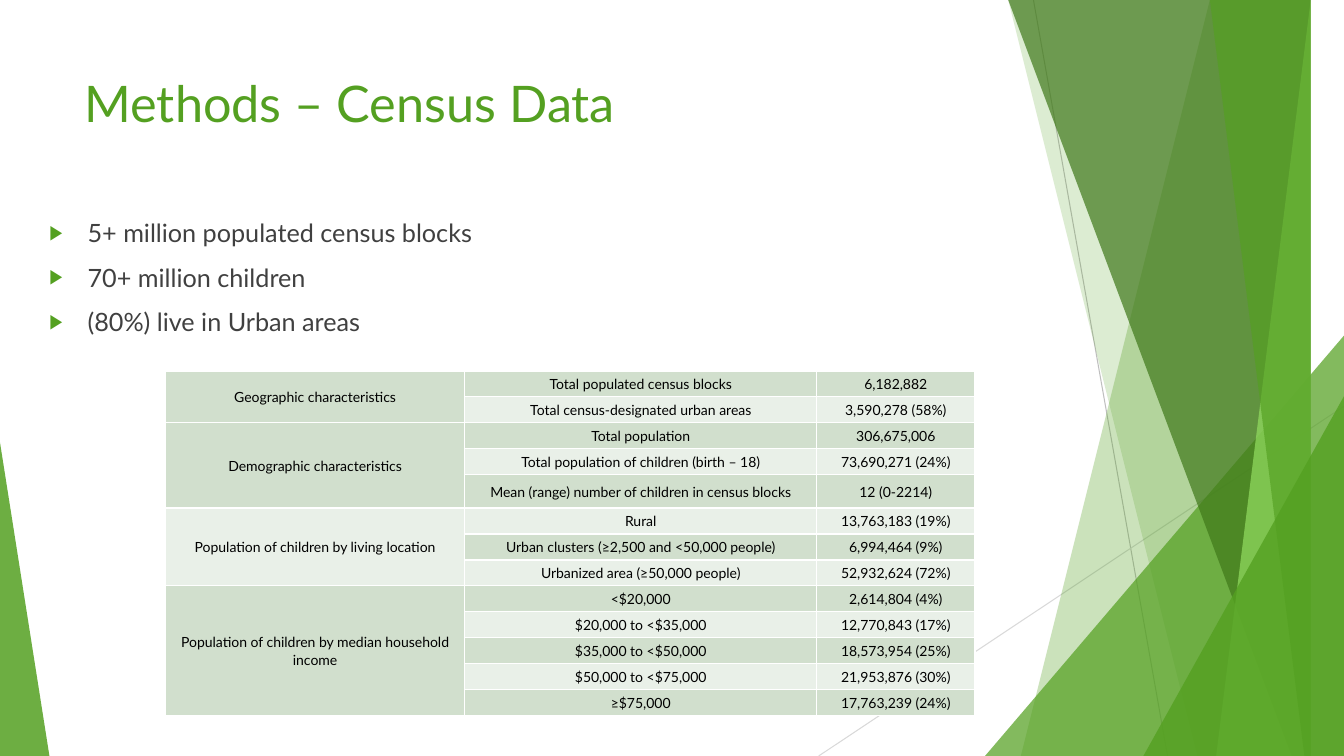
from dataclasses import dataclass
from lxml.etree import SubElement
from pptx import Presentation
from pptx.dml.color import RGBColor
from pptx.enum.shapes import MSO_CONNECTOR as Connector, MSO_SHAPE as Shape
from pptx.enum.text import MSO_ANCHOR as Anchor, PP_ALIGN as Align
from pptx.oxml.ns import qn
from pptx.util import Inches, Pt


@dataclass(frozen=True)
class Theme:
    font: str = "Lato"
    green: str = "54A021"
    dark_green: str = "3F7819"
    light_green: str = "94DE61"
    body: str = "404040"
    cell_text: str = "000000"
    border: str = "FFFFFF"
    bands: tuple = ("D1DFCD", "E9F0E8")
    title_size: int = 36
    body_size: int = 18
    cell_size: int = 10


THEME = Theme()
WIDTH, HEIGHT = 13.33, 7.5

TITLE = "Methods – Census Data"
BULLETS = [
    "5+ million populated census blocks",
    "70+ million children",
    "(80%) live in Urban areas",
]
GROUPS = [
    ("Geographic characteristics", [
        ("Total populated census blocks", "6,182,882"),
        ("Total census-designated urban areas", "3,590,278 (58%)"),
    ]),
    ("Demographic characteristics", [
        ("Total population", "306,675,006"),
        ("Total population of children (birth – 18)", "73,690,271 (24%)"),
        ("Mean (range) number of children in census blocks", "12 (0-2214)"),
    ]),
    ("Population of children by living location", [
        ("Rural", "13,763,183 (19%)"),
        ("Urban clusters (≥2,500 and <50,000 people)", "6,994,464 (9%)"),
        ("Urbanized area (≥50,000 people)", "52,932,624 (72%)"),
    ]),
    ("Population of children by median household income", [
        ("<$20,000", "2,614,804 (4%)"),
        ("$20,000 to <$35,000", "12,770,843 (17%)"),
        ("$35,000 to <$50,000", "18,573,954 (25%)"),
        ("$50,000 to <$75,000", "21,953,876 (30%)"),
        ("≥$75,000", "17,763,239 (24%)"),
    ]),
]
TABLE_LEFT, TABLE_TOP, TABLE_HEIGHT = 1.64, 3.68, 3.42
COLUMNS = (2.97, 3.49, 1.57)
TALL_ROW, TALL_HEIGHT = 4, 0.33

THIN_LINES = [
    ((10.25, 0), (11.58, HEIGHT), "BFBFBF"),
    ((WIDTH, 4.03), (8.12, HEIGHT), "D9D9D9"),
]
# SHARDS
SHARDS = [
    ("band", (12.28, 10.04), THEME.green, 30),
    ("band", (10.5, 11.83), THEME.green, 20),
    ("triangle", (9.77, 3.56, 4.17, 1), THEME.green, 72),
    ("band", (10.21, 12.91), THEME.dark_green, 70),
    ("band", (13.03, 11.92), THEME.light_green, 70),
    ("band", (11.96, 13.18), THEME.green, 65),
    ("triangle", (11.34, 1.99, 3.57, 1), THEME.green, 80),
    ("triangle", (0, 0.49, 3.11, 0), THEME.green, 85),
]


def rgb(code):
    return RGBColor.from_string(code)


def add_thin_line(page, start, end, color):
    line = page.shapes.add_connector(
        Connector.STRAIGHT, *(Inches(value) for value in start + end))
    line.line.color.rgb = rgb(color)
    line.line.width = Pt(0.75)
    SubElement(line._element.spPr, qn("a:effectLst"))


def add_shard(page, kind, geometry, color, opacity):
    if kind == "band":
        top_x, bottom_x = geometry
        builder = page.shapes.build_freeform(top_x, 0, scale=Inches(1))
        builder.add_line_segments(
            [(WIDTH, 0), (WIDTH, HEIGHT), (bottom_x, HEIGHT)], close=True)
        shard = builder.convert_to_shape()
    else:
        left, width, height, apex = geometry
        shard = page.shapes.add_shape(
            Shape.ISOSCELES_TRIANGLE, Inches(left), Inches(HEIGHT - height),
            Inches(width), Inches(height))
        shard.adjustments[0] = apex
    shard.shadow.inherit = False
    shard.line.fill.background()
    shard.fill.solid()
    shard.fill.fore_color.rgb = rgb(color)
    tint = shard._element.spPr.find(qn("a:solidFill"))[0]
    SubElement(tint, qn("a:alpha"), val=str(opacity * 1000))


def set_font(para, size, color):
    para.font.name = THEME.font
    para.font.size = Pt(size)
    para.font.color.rgb = rgb(color)


def add_text_box(page, left, top, width, height):
    frame = page.shapes.add_textbox(
        Inches(left), Inches(top), Inches(width), Inches(height)).text_frame
    frame.word_wrap = True
    return frame


def add_bullet(para):
    props = para._p.get_or_add_pPr()
    props.set("marL", str(Inches(0.38)))
    props.set("indent", str(-Inches(0.38)))
    color = SubElement(props, qn("a:buClr"))
    SubElement(color, qn("a:srgbClr"), val=THEME.green)
    SubElement(props, qn("a:buSzPct"), val="80000")
    SubElement(props, qn("a:buFont"), typeface="Arial")
    SubElement(props, qn("a:buChar"), char="▶")


def add_bullets(page):
    frame = add_text_box(page, 0.39, 2.11, 4.95, 3.79)
    for index, text in enumerate(BULLETS):
        para = frame.add_paragraph() if index else frame.paragraphs[0]
        para.text = text
        add_bullet(para)
        if index:
            para.space_before = Pt(10)
        set_font(para, THEME.body_size, THEME.body)


def style_cell(cell, band):
    props = cell._tc.get_or_add_tcPr()
    for side in ("a:lnL", "a:lnR", "a:lnT", "a:lnB"):
        edge = SubElement(props, qn(side), w=str(Pt(1)))
        SubElement(SubElement(edge, qn("a:solidFill")), qn("a:srgbClr"), val=THEME.border)
    cell.fill.solid()
    cell.fill.fore_color.rgb = rgb(band)
    cell.vertical_anchor = Anchor.MIDDLE
    cell.margin_left = cell.margin_right = Inches(0.07)
    cell.margin_top = cell.margin_bottom = 0
    para = cell.text_frame.paragraphs[0]
    para.alignment = Align.CENTER
    para.line_spacing = 1.07
    para.space_after = Pt(8)
    set_font(para, THEME.cell_size, THEME.cell_text)


def add_census_table(page):
    rows = [(group, *entry) for group, entries in GROUPS for entry in entries]
    table = page.shapes.add_table(
        len(rows), len(COLUMNS), Inches(TABLE_LEFT), Inches(TABLE_TOP),
        Inches(sum(COLUMNS)), Inches(TABLE_HEIGHT)).table
    for column, width in zip(table.columns, COLUMNS):
        column.width = Inches(width)
    row_height = (TABLE_HEIGHT - TALL_HEIGHT) / (len(rows) - 1)
    for index, (group, label, value) in enumerate(rows):
        table.rows[index].height = Inches(TALL_HEIGHT if index == TALL_ROW else row_height)
        starts_group = index == 0 or rows[index - 1][0] != group
        for column, text in enumerate((group if starts_group else "", label, value)):
            cell = table.cell(index, column)
            cell.text = text
            style_cell(cell, THEME.bands[index % 2])
    first = 0
    for group, entries in GROUPS:
        last = first + len(entries) - 1
        table.cell(first, 0).merge(table.cell(last, 0))
        first = last + 1


def main():
    deck = Presentation()
    deck.slide_width, deck.slide_height = Inches(WIDTH), Inches(HEIGHT)
    page = deck.slides.add_slide(deck.slide_layouts[6])
    for line in THIN_LINES:
        add_thin_line(page, *line)
    for shard in SHARDS:
        add_shard(page, *shard)
    title = add_text_box(page, 0.74, 0.67, 9.4, 1.44).paragraphs[0]
    title.text = TITLE
    set_font(title, THEME.title_size, THEME.green)
    add_bullets(page)
    add_census_table(page)
    deck.save("out.pptx")


if __name__ == "__main__":
    main()
